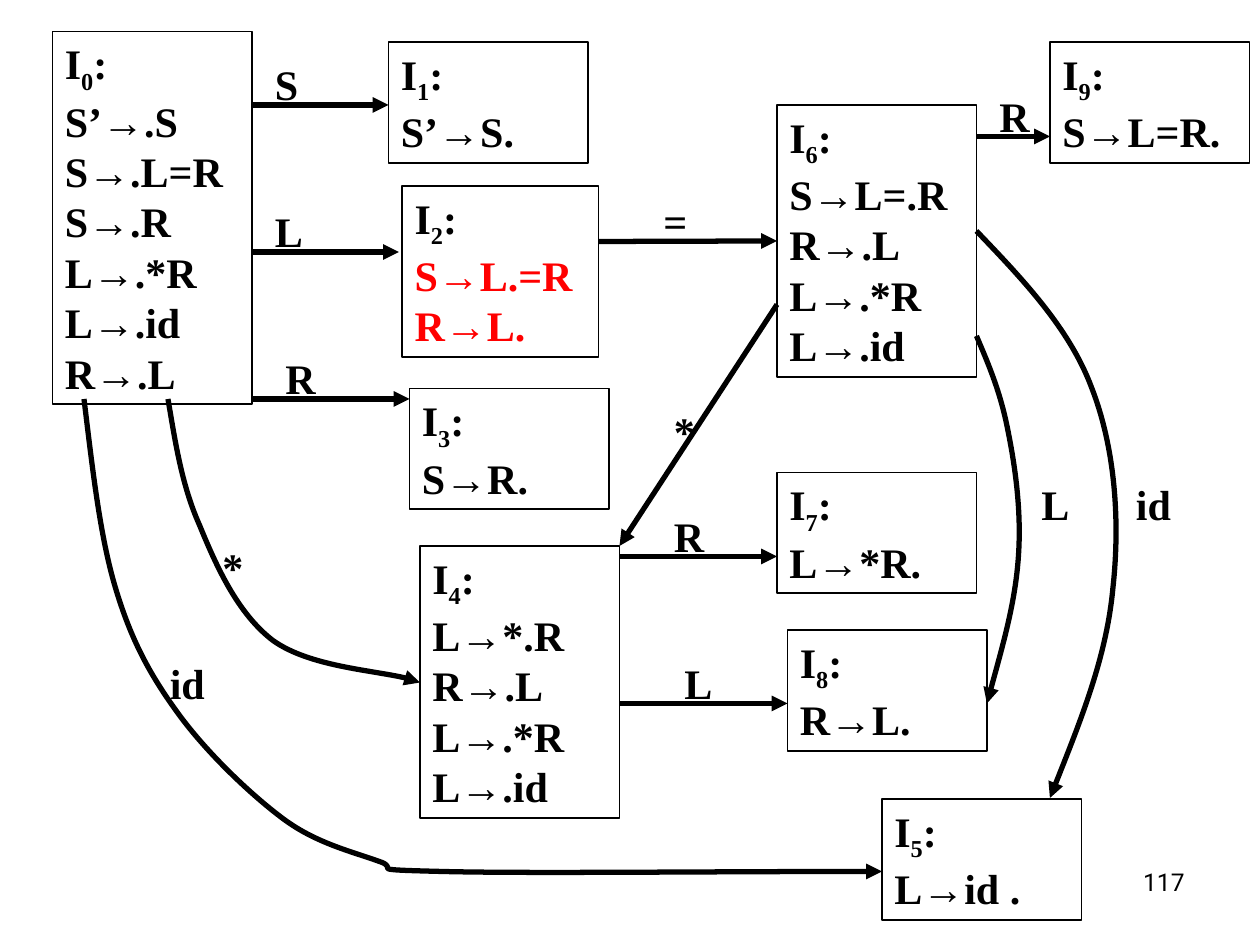
from dataclasses import dataclass

from pptx import Presentation
from pptx.dml.color import RGBColor
from pptx.enum import shapes, text
from pptx.oxml import ns, xmlchemy
from pptx.util import Pt

PX = 7620  # EMU per px, 120 px to the inch


@dataclass(frozen=True)
class Theme:
    ink: RGBColor = RGBColor(0, 0, 0)
    conflict: RGBColor = RGBColor(255, 0, 0)
    body_font: str = "Times New Roman"
    number_font: str = "Roboto"
    body_size: int = 24
    number_size: int = 14
    box_line: int = 1
    arrow_line: int = 3


theme = Theme()


def style_text(text_frame, color=theme.ink):
    """Bold body type, aligned top left; color applies below the first line."""
    text_frame.word_wrap = True
    text_frame.auto_size = text.MSO_AUTO_SIZE.SHAPE_TO_FIT_TEXT
    text_frame.vertical_anchor = text.MSO_ANCHOR.TOP
    for index, paragraph in enumerate(text_frame.paragraphs):
        paragraph.alignment = text.PP_ALIGN.LEFT
        for run in paragraph.runs:
            run.font.name = theme.body_font
            run.font.size = Pt(theme.body_size)
            run.font.bold = True
            run.font.color.rgb = color if index else theme.ink


def style_arrow(shape):
    """Thick line with a triangle at its end and no shadow."""
    shape.line.color.rgb = theme.ink
    shape.line.width = Pt(theme.arrow_line)
    line = shape.line._get_or_add_ln()
    line.append(xmlchemy.OxmlElement("a:tailEnd"))
    line[-1].set("type", "triangle")
    properties = shape._element.spPr
    if properties.find(ns.qn("a:effectLst")) is None:
        properties.append(xmlchemy.OxmlElement("a:effectLst"))


presentation = Presentation()
presentation.slide_width = 1200 * PX
presentation.slide_height = 900 * PX
slide = presentation.slides.add_slide(presentation.slide_layouts[6])

# Item sets: left, top, width, rows, items, item colour
states = [
    (50, 30, 190, 7, ["S’→.S", "S→.L=R", "S→.R", "L→.*R", "L→.id", "R→.L"], theme.ink),
    (370, 40, 190, 2, ["S’→S."], theme.ink),
    (383, 177, 187, 3, ["S→L.=R", "R→L."], theme.conflict),
    (390, 370, 190, 2, ["S→R."], theme.ink),
    (400, 520, 190, 5, ["L→*.R", "R→.L", "L→.*R", "L→.id"], theme.ink),
    (840, 761, 190, 2, ["L→id ."], theme.ink),
    (740, 100, 190, 5, ["S→L=.R", "R→.L L→.*R", "L→.id"], theme.ink),
    (740, 450, 190, 2, ["L→*R."], theme.ink),
    (750, 600, 190, 2, ["R→L."], theme.ink),
    (1000, 40, 190, 2, ["S→L=R."], theme.ink),
]
boxes = []
for number, (left, top, width, rows, items, color) in enumerate(states):
    height = 19 + 48 * rows
    box = slide.shapes.add_shape(
        shapes.MSO_SHAPE.RECTANGLE, left * PX, top * PX, width * PX, height * PX)
    box.shadow.inherit = False
    box.fill.background()
    box.line.color.rgb = theme.ink
    box.line.width = Pt(theme.box_line)
    box.text_frame.text = "\n".join(["I"] + items)
    heading = box.text_frame.paragraphs[0]
    subscript = heading.add_run()
    subscript.text = str(number)
    heading.add_run().text = ":"
    style_text(box.text_frame, color)
    subscript._r.get_or_add_rPr().set("baseline", "-25000")
    boxes.append(box)

# Straight transitions: from x, y to x, y, and the state joined at its left side
straight = [
    (240, 100, 370, 100, None),
    (240, 240, 380, 240, None),
    (240, 380, 390, 380, None),
    (570, 230, 740, 230, 6),
    (590, 530, 740, 530, None),
    (590, 670, 750, 670, None),
    (930, 130, 1000, 130, None),
    (740, 290, 590, 520, None),
]
for *ends, target in straight:
    connector = slide.shapes.add_connector(
        shapes.MSO_CONNECTOR.STRAIGHT, *(value * PX for value in ends))
    if target is not None:
        connector.end_connect(boxes[target], 1)
    style_arrow(connector)

# Curved transitions: start, then three Bézier points per segment
curves = [
    [(80, 380), (88, 445), (95, 510), (110, 560), (125, 610), (143, 643), (170, 680),
     (197, 717), (239, 757), (270, 780), (301, 803), (335, 811), (360, 820),
     (385, 828), (340, 828), (420, 830), (500, 832), (670, 830), (840, 830)],
    [(160, 380), (167, 421), (173, 462), (190, 500), (206, 539), (226, 584), (260, 610),
     (295, 635), (378, 640), (400, 650)],
    [(930, 320), (942, 348), (953, 374), (960, 410), (967, 445), (973, 487), (970, 530),
     (967, 574), (953, 622), (940, 670)],
    [(930, 220), (974, 266), (1019, 313), (1040, 370), (1062, 427), (1067, 496), (1060, 560),
     (1054, 625), (1027, 692), (1000, 760)],
]
for start, *points in curves:
    builder = slide.shapes.build_freeform(*start, scale=PX)
    builder.add_line_segments(points, close=False)
    curve = builder.convert_to_shape()
    segments = list(curve._element.iter(ns.qn("a:lnTo")))
    for first in range(0, len(segments), 3):
        bezier = xmlchemy.OxmlElement("a:cubicBezTo")
        segments[first].addprevious(bezier)
        for segment in segments[first:first + 3]:
            bezier.append(segment[0])
            segment.getparent().remove(segment)
    curve.shadow.inherit = False
    curve.fill.background()
    style_arrow(curve)

# Transition symbols: text, left, top, width
symbols = [
    ("S", 250, 50, 70), ("L", 250, 190, 80), ("R", 260, 330, 80),
    ("*", 200, 510, 70), ("id", 150, 620, 70), ("=", 620, 180, 60),
    ("R", 630, 480, 60), ("L", 640, 620, 50), ("R", 940, 80, 70),
    ("*", 630, 380, 70), ("L", 980, 450, 60), ("id", 1070, 450, 90),
]
for symbol, left, top, width in symbols:
    label = slide.shapes.add_textbox(left * PX, top * PX, width * PX, 60 * PX)
    label.text_frame.text = symbol
    style_text(label.text_frame)

# Page number
page = slide.shapes.add_textbox(860 * PX, 820 * PX, 280 * PX, 62 * PX)
page.text_frame.word_wrap = True
page.text_frame.text = "117"
paragraph = page.text_frame.paragraphs[0]
paragraph.alignment = text.PP_ALIGN.RIGHT
font = paragraph.runs[0].font
font.name = theme.number_font
font.size = Pt(theme.number_size)
font.color.rgb = theme.ink

presentation.save("out.pptx")
